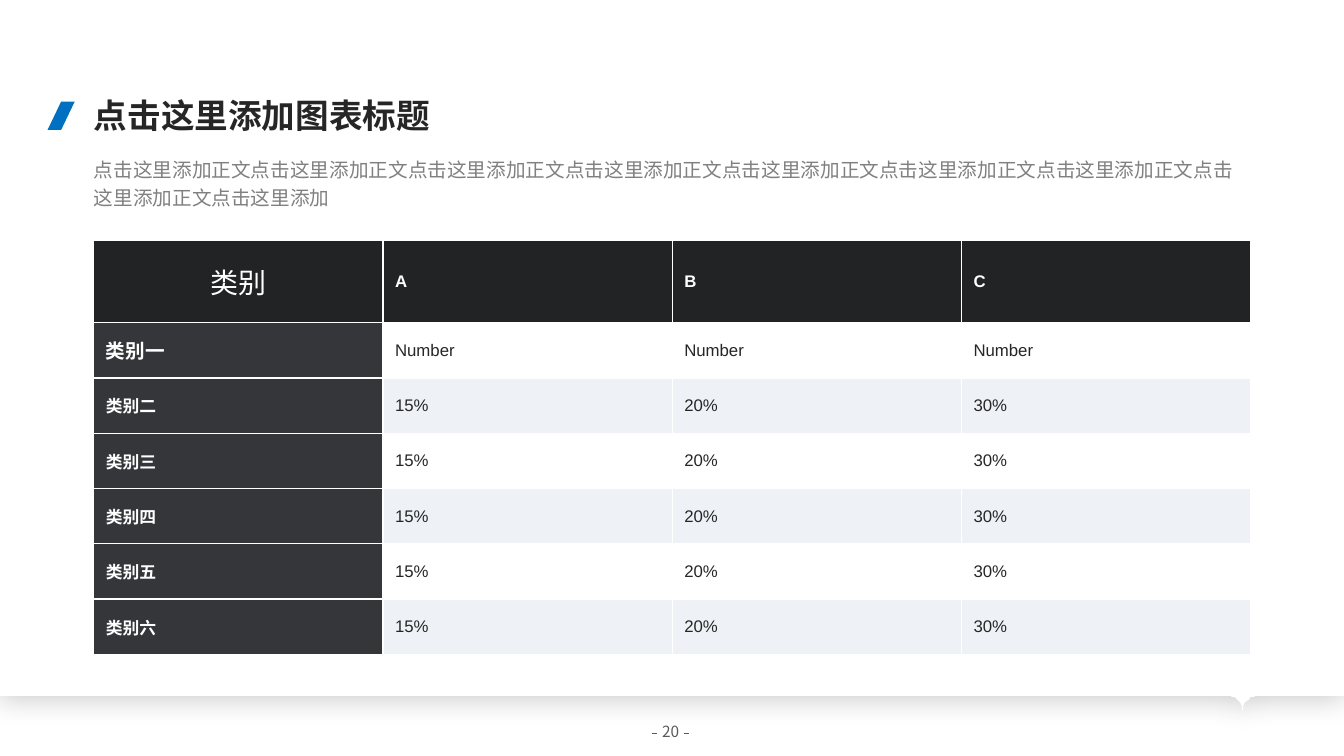
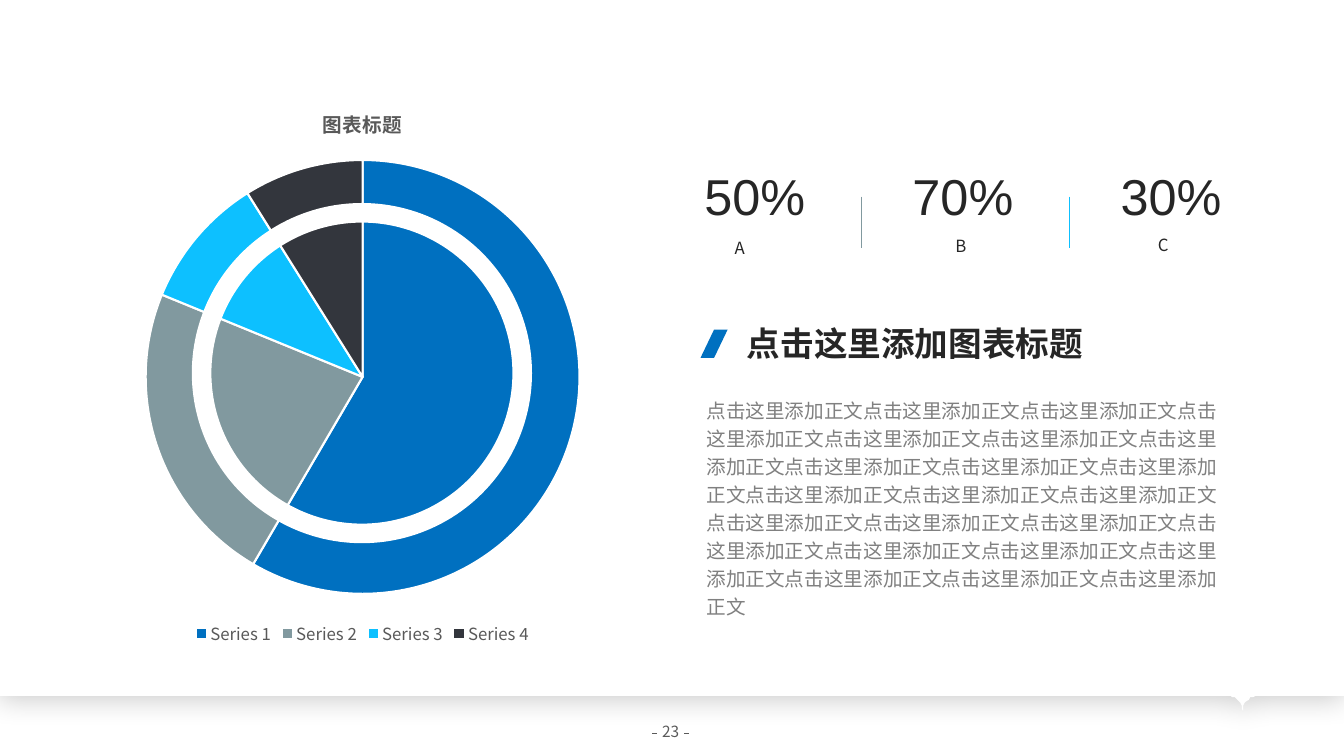
from math import cos, radians, sin

from lxml.etree import SubElement
from pptx import Presentation
from pptx.chart.data import CategoryChartData
from pptx.dml.color import RGBColor
from pptx.enum.chart import XL_CHART_TYPE, XL_LEGEND_POSITION
from pptx.enum.shapes import MSO_CONNECTOR, MSO_SHAPE
from pptx.enum.text import MSO_ANCHOR, PP_ALIGN
from pptx.oxml import parse_xml
from pptx.oxml.ns import nsdecls, qn
from pptx.util import Pt

COLORS = {
    "white": "FFFFFF", "ink": "262626", "body": "808080", "footer": "5A5A5A",
    "chart_text": "595959", "blue": "0070C0", "gray": "81999F", "cyan": "0DC0FF",
    "slate": "33363D", "header": "212325", "row_head": "34363A", "band": "EEF2F6",
}
RGB = {name: RGBColor.from_string(code) for name, code in COLORS.items()}
LATIN, CJK = "Arial", "Noto Sans CJK SC"
TITLE = "点击这里添加图表标题"
PHRASE = "点击这里添加正文"
WIDTH, HEIGHT = 960, 540


def write(frame, text, size=12, color="ink", font=LATIN, bold=False,
          align=PP_ALIGN.LEFT, spacing=None, wrap=True):
    """Fill a text frame with one formatted paragraph."""
    frame.word_wrap = wrap
    para = frame.paragraphs[0]
    para.alignment = align
    if spacing:
        para.line_spacing = Pt(spacing)
    span = para.add_run()
    span.text = text
    span.font.size = Pt(size)
    span.font.bold = bold
    span.font.color.rgb = RGB[color]
    span.font.name = font
    SubElement(span.font._element, qn("a:ea"), typeface=CJK)


def add_heading(page, left, top):
    """Add the slanted marker and the bold title beside it."""
    marker = page.shapes.add_shape(
        MSO_SHAPE.PARALLELOGRAM, Pt(left), Pt(top + 8.6), Pt(19.4), Pt(20.2))
    marker.adjustments[0] = 0.5
    marker.shadow.inherit = False
    marker.fill.solid()
    marker.fill.fore_color.rgb = RGB["blue"]
    marker.line.fill.background()
    box = page.shapes.add_textbox(Pt(left + 26), Pt(top), Pt(361), Pt(36))
    write(box.text_frame, TITLE, size=24, bold=True)


deck = Presentation()
deck.slide_width, deck.slide_height = Pt(WIDTH), Pt(HEIGHT)

# White sheet with a notch in its lower edge, and the page number
edge, tip, radius = 497, 887.6, 11
arc = [(radius * (1 - cos(radians(a))), edge + radius * (1 - sin(radians(a))))
       for a in range(0, 91, 10)]
outline = [(WIDTH, 0), (WIDTH, edge)]
outline += [(tip + x, y) for x, y in reversed(arc)]
outline += [(tip - x, y) for x, y in arc]
outline += [(0, edge)]

pages = []
for number in ("20", "23"):
    page = deck.slides.add_slide(deck.slide_layouts[6])
    pages.append(page)
    builder = page.shapes.build_freeform(0, 0, scale=Pt(1))
    builder.add_line_segments(outline, close=True)
    sheet = builder.convert_to_shape()
    sheet.fill.solid()
    sheet.fill.fore_color.rgb = RGB["white"]
    sheet.line.fill.background()
    sheet.shadow.inherit = False
    sheet._element.spPr.find(qn("a:effectLst")).append(parse_xml(
        f'<a:outerShdw {nsdecls("a")} blurRad="{Pt(20)}" dist="{Pt(3)}" dir="5400000" '
        'algn="t" rotWithShape="0"><a:srgbClr val="000000"><a:alpha val="20000"/>'
        '</a:srgbClr></a:outerShdw>'))
    box = page.shapes.add_textbox(Pt(455), Pt(512), Pt(48), Pt(21))
    write(box.text_frame, number, size=11, color="footer", font=CJK,
          align=PP_ALIGN.CENTER)

table_page, chart_page = pages

# Table slide
rows = [
    ("类别", "A", "B", "C"),
    ("类别一", "Number", "Number", "Number"),
    *((f"类别{digit}", "15%", "20%", "30%") for digit in "二三四五六"),
]
table = table_page.shapes.add_table(
    len(rows), 4, Pt(67), Pt(171.5), Pt(826.4), Pt(296)).table
table.first_row = table.horz_banding = False
for column in table.columns:
    column.width = Pt(206.6)
for r, row in enumerate(rows):
    table.rows[r].height = Pt(39.5 if r else 59)
    for c, text in enumerate(row):
        cell = table.cell(r, c)
        cell.vertical_anchor = MSO_ANCHOR.MIDDLE
        cell.margin_left = cell.margin_right = Pt(8.6)
        cell.margin_top = cell.margin_bottom = Pt(4.3)
        for side in "LRTB":
            cell._tc.get_or_add_tcPr().append(parse_xml(
                f'<a:ln{side} {nsdecls("a")} w="{Pt(1)}"><a:solidFill>'
                f'<a:srgbClr val="{COLORS["white"]}"/></a:solidFill></a:ln{side}>'))
        if r == 0:
            fill = "header"
        elif c == 0:
            fill = "row_head"
        else:
            fill = "white" if r % 2 else "band"
        cell.fill.solid()
        cell.fill.fore_color.rgb = RGB[fill]
        is_head = r == 0 or c == 0
        is_corner = r == 0 and c == 0
        write(cell.text_frame, text,
              size={(0, 0): 20, (1, 0): 14}.get((r, c), 12),
              color="white" if is_head else "ink",
              bold=is_head and not is_corner,
              align=PP_ALIGN.CENTER if is_corner else PP_ALIGN.LEFT)

add_heading(table_page, 34, 64)
box = table_page.shapes.add_textbox(Pt(60), Pt(106), Pt(833), Pt(45))
write(box.text_frame, PHRASE * 8 + "点击这里添加", size=14, color="body", spacing=20)

# Chart slide
data = CategoryChartData()
data.categories = [f"Series {i}" for i in range(1, 5)]
data.add_series("Series 1", (59, 23, 10, 9))
chart = chart_page.shapes.add_chart(
    XL_CHART_TYPE.PIE, Pt(-43), Pt(62), Pt(604), Pt(402.5), data).chart
chart.font.name = CJK
chart.font.size = Pt(10)
chart.has_title = True
write(chart.chart_title.text_frame, "图表标题", size=14, color="chart_text", bold=True)
chart.has_legend = True
chart.legend.position = XL_LEGEND_POSITION.BOTTOM
chart.legend.include_in_layout = False
chart.legend.font.name = CJK
chart.legend.font.size = Pt(12)
chart.legend.font.color.rgb = RGB["chart_text"]
plot = chart.plots[0]
plot.vary_by_categories = True
for i, color in enumerate(("blue", "gray", "cyan", "slate")):
    style = plot.series[0].points[i].format
    style.fill.solid()
    style.fill.fore_color.rgb = RGB[color]
    style.line.color.rgb = RGB["white"]
    style.line.width = Pt(1.5)
plot_area = chart._chartSpace.chart.plotArea
for layout in plot_area.findall(qn("c:layout")):
    plot_area.remove(layout)
plot_area.insert(0, parse_xml(
    f'<c:layout {nsdecls("c")}><c:manualLayout><c:layoutTarget val="inner"/>'
    '<c:xMode val="edge"/><c:yMode val="edge"/><c:x val="0.24"/><c:y val="0.13"/>'
    '<c:w val="0.52"/><c:h val="0.77"/></c:manualLayout></c:layout>'))

ring = chart_page.shapes.add_shape(MSO_SHAPE.OVAL, Pt(144), Pt(152), Pt(229), Pt(229))
ring.shadow.inherit = False
ring.fill.background()
ring.line.color.rgb = RGB["white"]
ring.line.width = Pt(14)

add_heading(chart_page, 500.4, 226.8)
box = chart_page.shapes.add_textbox(Pt(497.5), Pt(278), Pt(390), Pt(168.5))
write(box.text_frame, PHRASE * 23, size=14, color="body", spacing=20)

stats = [("50%", "A", 517.7, 166.3), ("70%", "B", 675.4, 165), ("30%", "C", 820, 164)]
for i, (value, label, left, top) in enumerate(stats):
    box = chart_page.shapes.add_textbox(Pt(496 + 148.7 * i), Pt(114.5), Pt(89), Pt(51))
    write(box.text_frame, value, size=36, wrap=False)
    box = chart_page.shapes.add_textbox(Pt(left), Pt(top), Pt(21), Pt(21.6))
    write(box.text_frame, label, font=CJK, wrap=False)

# Dashes beside the page numbers, and dividers between the figures
lines = [(page, x, 523.5, x + 3.2, 523.5, "footer")
         for page in pages for x in (466, 488.8)]
lines += [(chart_page, x, 140.5, x, 177, color)
          for x, color in ((615.5, "gray"), (764, "cyan"))]
for page, x1, y1, x2, y2, color in lines:
    line = page.shapes.add_connector(
        MSO_CONNECTOR.STRAIGHT, Pt(x1), Pt(y1), Pt(x2), Pt(y2))
    line.line.color.rgb = RGB[color]
    line.line.width = Pt(0.5)
    SubElement(line._element.spPr, qn("a:effectLst"))

deck.save("out.pptx")
